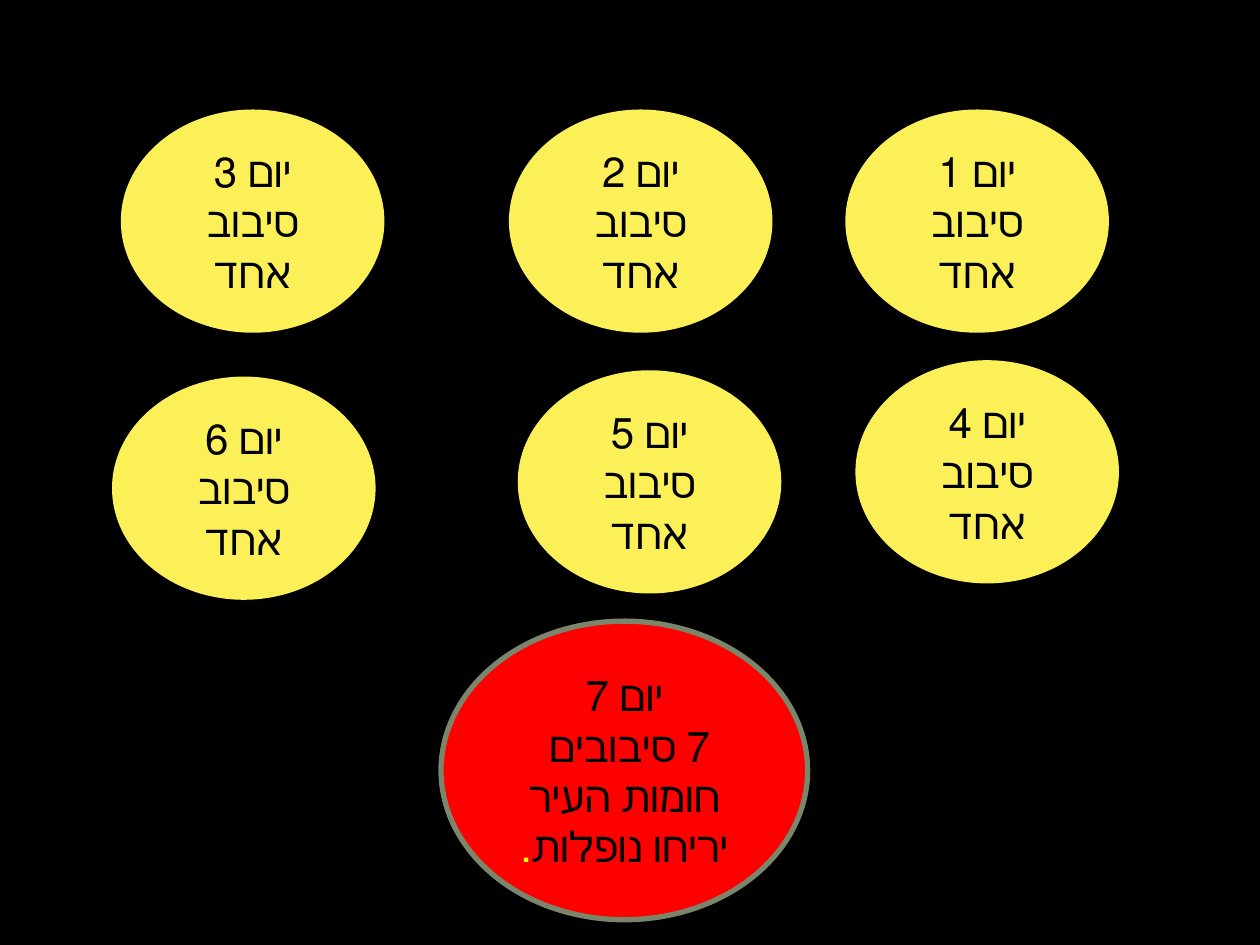
from pptx import Presentation
from pptx.dml.color import RGBColor
from pptx.enum.shapes import MSO_SHAPE
from pptx.enum.text import MSO_ANCHOR, PP_ALIGN
from pptx.util import Inches, Pt

BLACK = RGBColor(0x00, 0x00, 0x00)
CREAM = RGBColor(0xFC, 0xF0, 0x59)
RED = RGBColor(0xFF, 0x00, 0x00)
OLIVE = RGBColor(0x7A, 0x86, 0x6C)
YELLOW = RGBColor(0xFF, 0xFF, 0x00)

FONT = "Vollkorn"
WIDTH, HEIGHT = Inches(10), Inches(7.5)
COL, ROW = WIDTH / 100, HEIGHT / 75
DAY_COLS, DAY_ROWS = 20.5, 17.3
DAY_SPOTS = [(67.3, 8.9), (40.6, 8.9), (9.8, 8.9),
             (68.1, 28.8), (41.3, 29.6), (9.1, 30.1)]
LAST_DAY_BOX = (35, 49.3, 29.1, 23.7)


def add_run(p, text, size=24, color=BLACK, font=FONT):
    """Add one formatted run to a paragraph and return it."""
    r = p.add_run()
    r.text = text
    r.font.size = Pt(size)
    r.font.name = font
    r.font.color.rgb = color
    return r


def add_ellipse(slide, box, lines, fill, line):
    """Draw an ellipse in a grid box with centred right-to-left lines."""
    left, top, cols, rows = box
    sp = slide.shapes.add_shape(
        MSO_SHAPE.OVAL, round(left * COL), round(top * ROW),
        round(cols * COL), round(rows * ROW))
    sp.shadow.inherit = False
    sp.fill.solid()
    sp.fill.fore_color.rgb = fill
    sp.line.color.rgb = line
    sp.line.width = Pt(3)
    tf = sp.text_frame
    tf.word_wrap = True
    tf.vertical_anchor = MSO_ANCHOR.MIDDLE
    for i, text in enumerate(lines):
        p = tf.paragraphs[0] if i == 0 else tf.add_paragraph()
        p.alignment = PP_ALIGN.CENTER
        p._p.get_or_add_pPr().set("rtl", "1")
        add_run(p, text)
    return sp


def add_days(slide, spots):
    """Place one circuit ellipse per day at the given grid spots."""
    for day, (left, top) in enumerate(spots, 1):
        add_ellipse(slide, (left, top, DAY_COLS, DAY_ROWS),
                    [f"יום {day}", "סיבוב אחד"], CREAM, CREAM)


def add_last_day(slide, box):
    """Place the seventh day, ending in a yellow full stop."""
    lines = ["יום 7", "7 סיבובים ", "חומות העיר יריחו נופלות"]
    sp = add_ellipse(slide, box, lines, RED, OLIVE)
    add_run(sp.text_frame.paragraphs[-1], ".", color=YELLOW)


def main():
    """Build and save the slide."""
    prs = Presentation()
    prs.slide_width, prs.slide_height = WIDTH, HEIGHT
    s = prs.slides.add_slide(prs.slide_layouts[6])
    s.background.fill.solid()
    s.background.fill.fore_color.rgb = BLACK
    add_days(s, DAY_SPOTS)
    add_last_day(s, LAST_DAY_BOX)
    prs.save("out.pptx")


if __name__ == "__main__":
    main()
